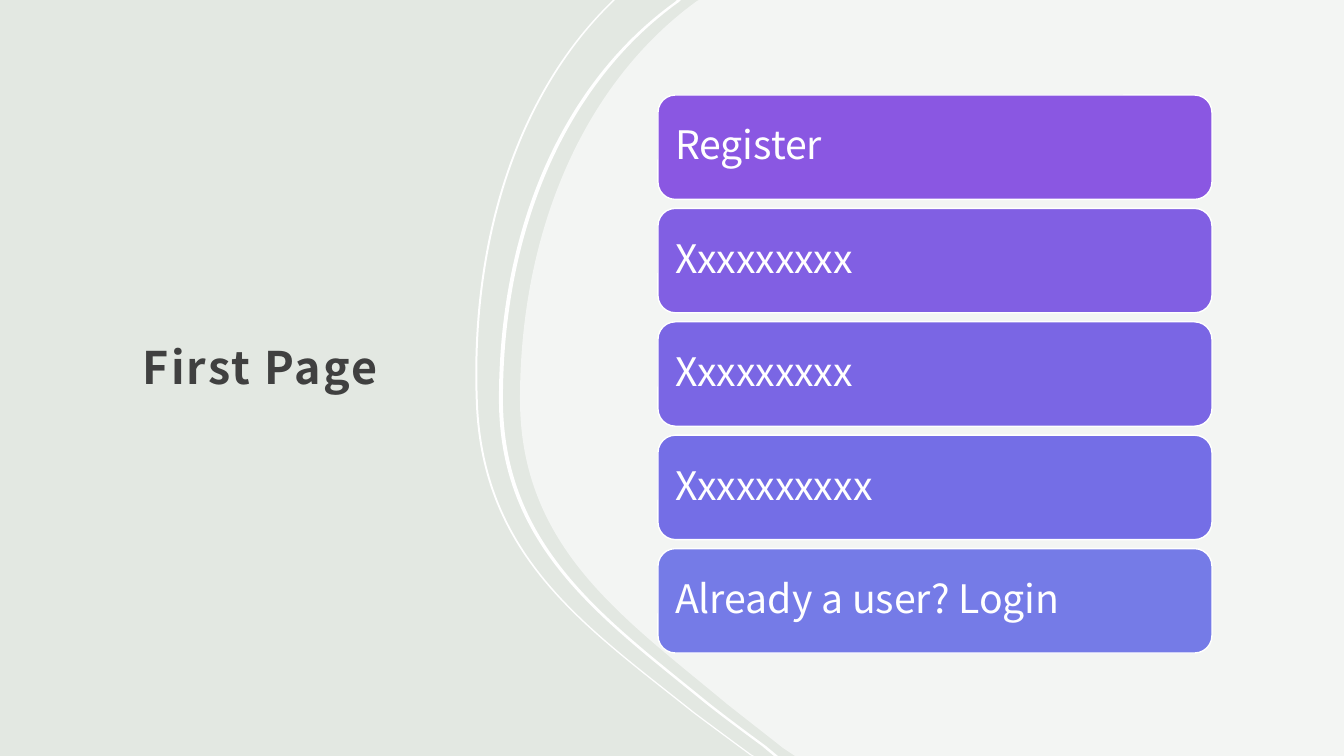
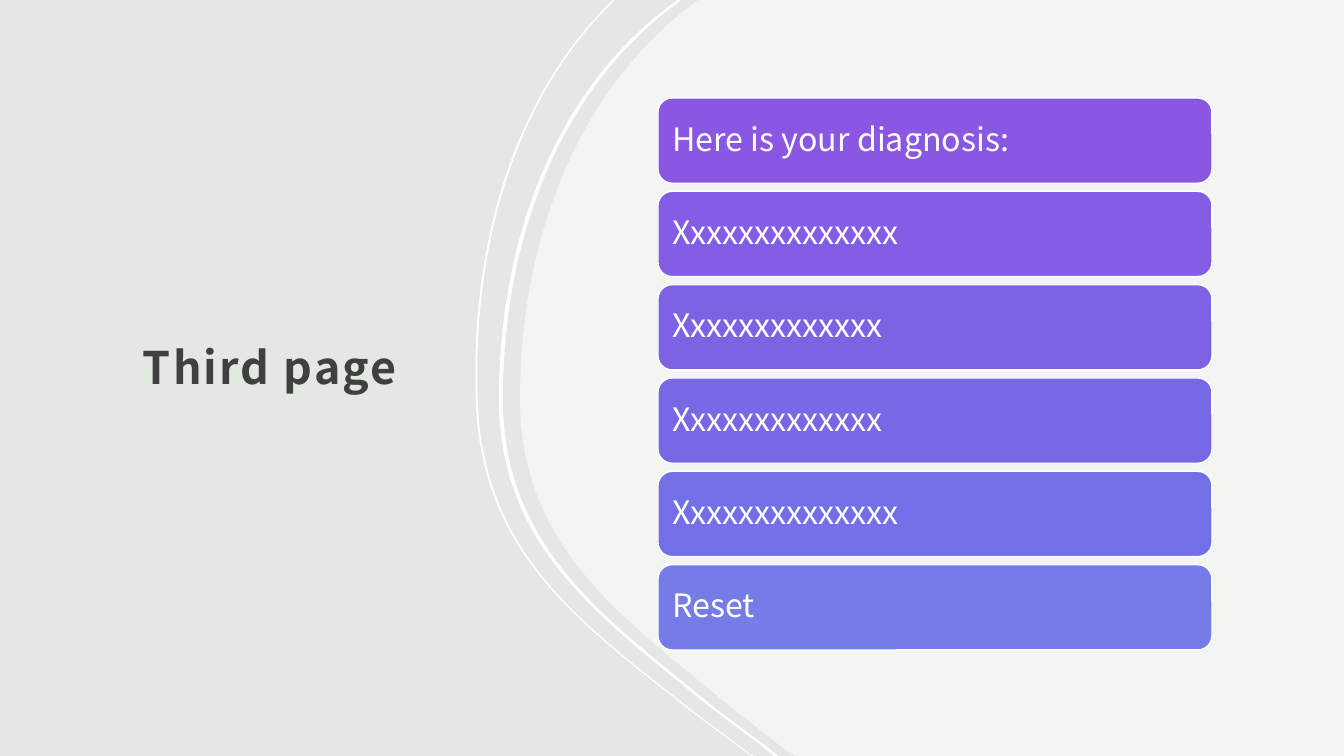
from colorsys import hls_to_rgb, rgb_to_hls
from pptx import Presentation
from pptx.dml.color import RGBColor as RGB
from pptx.enum.shapes import MSO_SHAPE as Shape
from pptx.enum.text import MSO_ANCHOR as Anchor, MSO_AUTO_SIZE as Auto, PP_ALIGN as Align
from pptx.oxml.xmlchemy import OxmlElement as Node
from pptx.util import Pt

PX = 914400 / 100.8
WIDE, HIGH = 1344, 756
FONT = "Noto Sans CJK JP"
SAGE = RGB(0xE3, 0xE8, 0xE2)
WHITE = RGB(0xFF, 0xFF, 0xFF)
DARK = RGB(0x40, 0x40, 0x40)
VIOLET = RGB(0x8A, 0x57, 0xE2)
BLUE = RGB(0x75, 0x7B, 0xE7)

# Each edge: a start, a line, three curves (two controls and an end), a line
THIN = ((613, 0), (610, 3),
        (516, 95), (469, 242), (476, 405),
        (483, 559), (587, 628), (692, 712),
        (712, 727), (731, 741), (750, 755), (752, 756))
THICK = ((677, 0), (675, 2),
         (561, 84), (499, 231), (499, 399),
         (499, 547), (601, 618), (705, 703),
         (724, 718), (743, 732), (762, 746), (774, 756))
PANEL = ((699, 0), (697, 1),
         (584, 83), (520, 231), (520, 399),
         (520, 548), (624, 618), (727, 704),
         (746, 719), (764, 733), (783, 748), (795, 756))


def emu(*nums):
    return tuple(round(n * PX) for n in nums)


def steps(edge):
    """Split an edge, after its start, into lines and curves."""
    cuts = (1, 2, 5, 8, 11, 12)
    return [edge[a:b] for a, b in zip(cuts, cuts[1:])]


def area(slide, start, parts, alpha=None):
    """Fill a closed outline of lines and curves with white."""
    pen = slide.shapes.build_freeform(*emu(*start), scale=1.0)
    pen.add_line_segments([emu(*part[-1]) for part in parts], close=True)
    form = pen.convert_to_shape()
    for line, part in zip(form._element.findall(".//{*}lnTo"), parts):
        if len(part) == 3:
            curve = Node("a:cubicBezTo")
            for dot in part:
                x, y = emu(*dot)
                node = Node("a:pt")
                node.set("x", str(x - form.left))
                node.set("y", str(y - form.top))
                curve.append(node)
            line.getparent().replace(line, curve)
    form.shadow.inherit = False
    form.fill.solid()
    form.fill.fore_color.rgb = WHITE
    form.line.fill.background()
    if alpha:
        node = Node("a:alpha")
        node.set("val", str(alpha * 1000))
        form._element.spPr.find(".//{*}srgbClr").append(node)


def waves(slide):
    """Pale right panel with two white bands along its edge."""
    area(slide, PANEL[0], steps(PANEL) + [((WIDE, HIGH),), ((WIDE, 0),)], alpha=60)
    for edge, width in ((THIN, 2), (THICK, 4)):
        back = tuple((x + width, y) for x, y in reversed(edge))
        area(slide, edge[0], steps(edge) + [back[:1]] + steps(back))


def write(frame, text, size, color, pad, space):
    """Put one left-aligned line of text in a frame."""
    frame.word_wrap = True
    frame.auto_size = Auto.NONE
    frame.vertical_anchor = Anchor.MIDDLE
    frame.margin_left, frame.margin_top, frame.margin_right, frame.margin_bottom = emu(*pad)
    para = frame.paragraphs[0]
    para.alignment = Align.LEFT
    para.line_spacing = space
    run = para.add_run()
    run.text = text
    run.font.name = FONT
    run.font.size = Pt(size)
    run.font.color.rgb = color
    return para, run


def head(slide, text, box):
    title = slide.shapes.title
    title.left, title.top, title.width, title.height = emu(*box)
    _, run = write(title.text_frame, text, 32, DARK, (12, 12, 12, 10), 1.3)
    run.font.bold = True
    run.font._element.set("spc", "150")


def blend(part):
    """Colour between violet and blue, mixed by hue."""
    first, last = (rgb_to_hls(*(c / 255 for c in tone)) for tone in (VIOLET, BLUE))
    tone = hls_to_rgb(*(a + (b - a) * part for a, b in zip(first, last)))
    return RGB(*(round(c * 255) for c in tone))


def stack(slide, items, box, gap, size, pad):
    """Equal rounded bars filling the box from top to bottom."""
    left, top, width, height = box
    count = len(items)
    tall = (height - gap * (count - 1)) / count
    for i, text in enumerate(items):
        bar = slide.shapes.add_shape(
            Shape.ROUNDED_RECTANGLE, *emu(left, top + i * (tall + gap), width, tall))
        bar.shadow.inherit = False
        bar.fill.solid()
        bar.fill.fore_color.rgb = blend(i / (count - 1))
        bar.line.color.rgb = WHITE
        bar.line.width = Pt(1)
        para, _ = write(bar.text_frame, text, size, WHITE, (pad,) * 4, 0.9)
        para.space_after = Pt(size * 0.35)


def page(deck, title, items, box, gap, size, pad):
    slide = deck.slides.add_slide(deck.slide_layouts[5])
    head(slide, title, (131, 122, 333, 472))
    waves(slide)
    stack(slide, items, box, gap, size, pad)


deck = Presentation()
deck.slide_width, deck.slide_height = emu(WIDE, HIGH)
back = deck.slide_master.background.fill
back.solid()
back.fore_color.rgb = SAGE

page(deck, "First Page",
     ("Register", "Xxxxxxxxx", "Xxxxxxxxx", "Xxxxxxxxxx", "Already a user? Login"),
     (658, 95, 554, 558), 9, 28, 12)
page(deck, "Third page",
     ("Here is your diagnosis:", "Xxxxxxxxxxxxxx", "Xxxxxxxxxxxxx",
      "Xxxxxxxxxxxxx", "Xxxxxxxxxxxxxx", "Reset"),
     (658, 98, 554, 552), 8, 23, 10)
deck.save("out.pptx")
